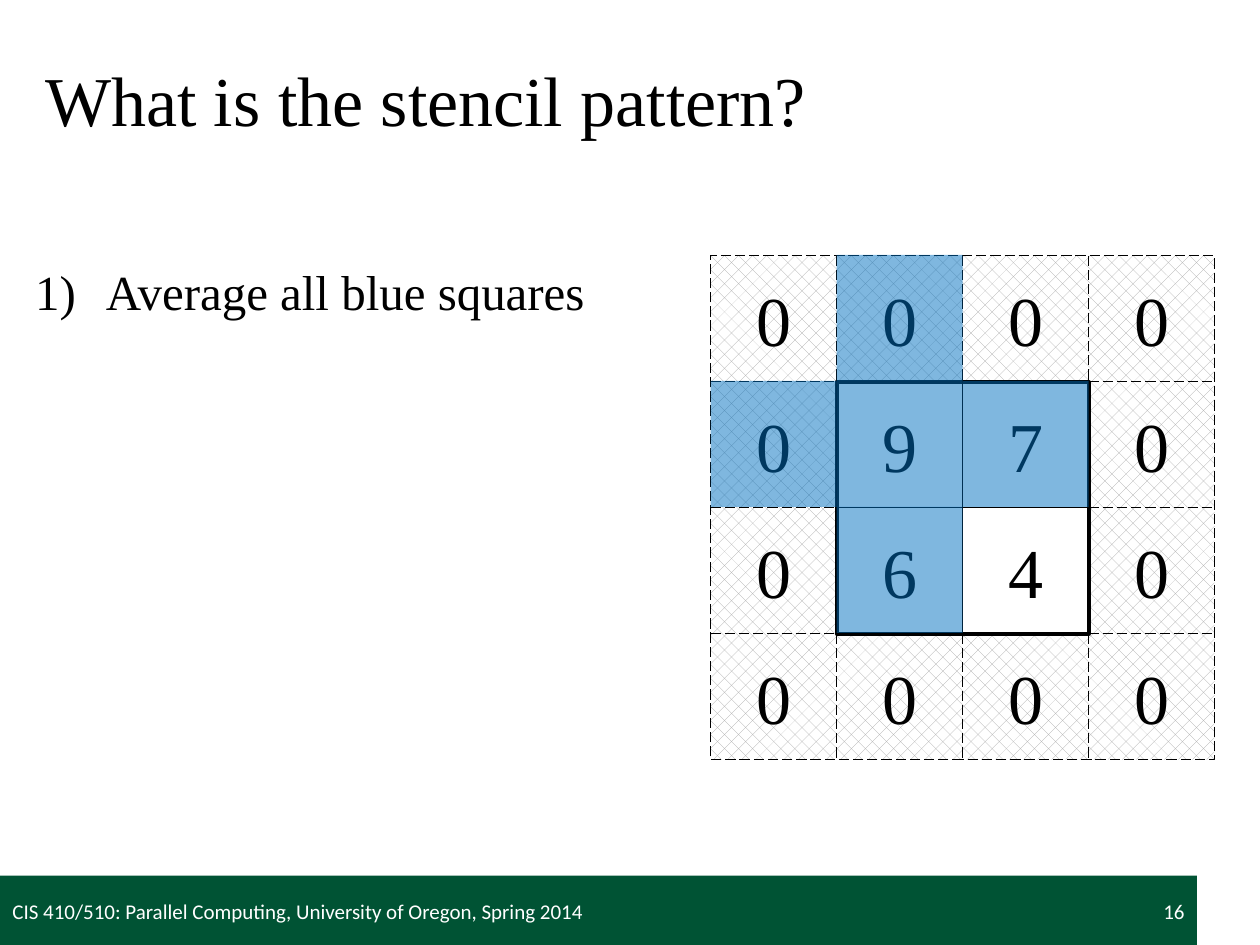
import pptx
import pptx.util
import pptx.dml.color
import pptx.enum.dml
import pptx.enum.shapes
import pptx.enum.text
import pptx.oxml
import pptx.oxml.ns

Pt = pptx.util.Pt
Align = pptx.enum.text.PP_ALIGN
Anchor = pptx.enum.text.MSO_ANCHOR
Fit = pptx.enum.text.MSO_AUTO_SIZE
RGB = pptx.dml.color.RGBColor.from_string
rect = pptx.enum.shapes.MSO_SHAPE.RECTANGLE
line = pptx.enum.shapes.MSO_CONNECTOR.STRAIGHT
dash = pptx.enum.dml.MSO_LINE.LONG_DASH
hatch = pptx.enum.dml.MSO_PATTERN.PERCENT_25
ns = pptx.oxml.ns.nsdecls("a")

theme = {
    "ink": RGB("000000"), "paper": RGB("FFFFFF"), "green": RGB("005334"),
    "blue": RGB("0070C0"), "grey": RGB("A6A6A6"),
    "serif": "Times New Roman", "sans": "Calibri",
    "big": Pt(40), "mid": Pt(28), "small": Pt(12),
    "thin": Pt(0.75), "thick": Pt(2.25),
}

deck = pptx.Presentation()
deck.slide_width, deck.slide_height = Pt(720), Pt(540)
slide = deck.slides.add_slide(deck.slide_layouts[6])
shapes = slide.shapes


def add_text(text, box, size, face="serif", ink="ink", align=Align.LEFT, **frame):
    """Add a text box; extra names are set on its text frame."""
    area = shapes.add_textbox(*map(Pt, box)).text_frame
    for name, value in {"word_wrap": True, **frame}.items():
        setattr(area, name, value)
    para = area.paragraphs[0]
    para.alignment = align
    run = para.add_run()
    run.text = text
    for name, value in {"name": theme[face], "size": theme[size]}.items():
        setattr(run.font, name, value)
    run.font.color.rgb = theme[ink]
    return para


def add_rect(box, fill, width=None):
    """Add a plain rectangle, outlined only when a line width is given."""
    shape = shapes.add_shape(rect, *map(Pt, box))
    shape.shadow.inherit = False
    shape.fill.solid()
    shape.fill.fore_color.rgb = theme[fill]
    if width:
        shape.line.color.rgb = theme["ink"]
        shape.line.width = theme[width]
    else:
        shape.line.fill.background()
    return shape


# Footer band, title and numbered step
add_rect((0, 500.4, 684, 39.6), "green")
add_text("What is the stencil pattern?", (18.72, 21.6, 681, 69.1), "big",
         vertical_anchor=Anchor.MIDDLE)
step = add_text("Average all blue squares", (12.96, 146.16, 383, 293.8), "mid")
props = step._p.get_or_add_pPr()
for name, value in {"marL": Pt(40.5), "indent": Pt(-40.5)}.items():
    props.set(name, str(value))
for part in ('<a:spcBef %s><a:spcPct val="20000"/></a:spcBef>',
             '<a:buFont %s typeface="+mj-lt"/>',
             '<a:buAutoNum %s type="arabicParenR"/>'):
    props.append(pptx.oxml.parse_xml(part % ns))

# Footer text
pad = dict.fromkeys(("margin_left", "margin_top", "margin_right", "margin_bottom"), Pt(7.2))
for text, left, width, align in (
        ("CIS 410/510: Parallel Computing, University of Oregon, Spring 2014",
         0, 473.8, Align.LEFT),
        ("16", 516.2, 167.8, Align.RIGHT)):
    add_text(text, (left, 501.8, width, 38.2), "small", "sans", "paper", align,
             vertical_anchor=Anchor.MIDDLE, **pad)

# Hatched border of zeros around the inner square
x, y, cell = 406.08, 146.16, 72
outer = add_rect((x, y, 4 * cell, 4 * cell), "paper", "thin")
outer.line.dash_style = dash
outer.fill.patterned()
outer.fill.pattern = hatch
outer.fill.fore_color.rgb = theme["grey"]
outer.fill.back_color.rgb = theme["paper"]
inner = add_rect((x + cell, y + cell, 2 * cell, 2 * cell), "paper", "thick")

# Grid lines: (start, end) in cells, then the sides they join at mid height or width
spans = ((0, 1, outer, inner, 0), (3, 4, inner, outer, 2), (1, 3, inner, inner, None))
for start, end, first, last, side in spans:
    for i in (1, 2, 3) if side is not None else (2,):
        for across in (False, True):
            ends = [(start, i), (end, i)] if across else [(i, start), (i, end)]
            rule = shapes.add_connector(
                line, *(Pt(base + n * cell) for spot in ends
                        for base, n in zip((x, y), spot)))
            if i == 2:
                near, far = (0, 2) if side is None else (side, side)
                rule.begin_connect(first, near + across)
                rule.end_connect(last, far + across)
            rule.line.color.rgb = theme["ink"]
            rule.line.width = theme["thin"]
            if side is not None:
                rule.line.dash_style = dash
            rule._element.spPr.append(pptx.oxml.parse_xml("<a:effectLst %s/>" % ns))

# Cell values
for row, digits in enumerate(("0000", "0970", "0640", "0000")):
    for col, digit in enumerate(digits):
        add_text(digit, (x + col * cell, y + row * cell + 8.2, cell, 55.4), "big",
                 align=Align.CENTER, auto_size=Fit.SHAPE_TO_FIT_TEXT)

# Blue stencil: the centre cell and its four neighbours
for col, row in ((1, 1), (1, 2), (0, 1), (2, 1), (1, 0)):
    tile = add_rect((x + col * cell, y + row * cell - 0.5, cell, cell), "blue")
    tint = tile._element.spPr.find(".//" + pptx.oxml.ns.qn("a:srgbClr"))
    tint.append(pptx.oxml.parse_xml('<a:alpha %s val="50000"/>' % ns))

deck.save("out.pptx")
